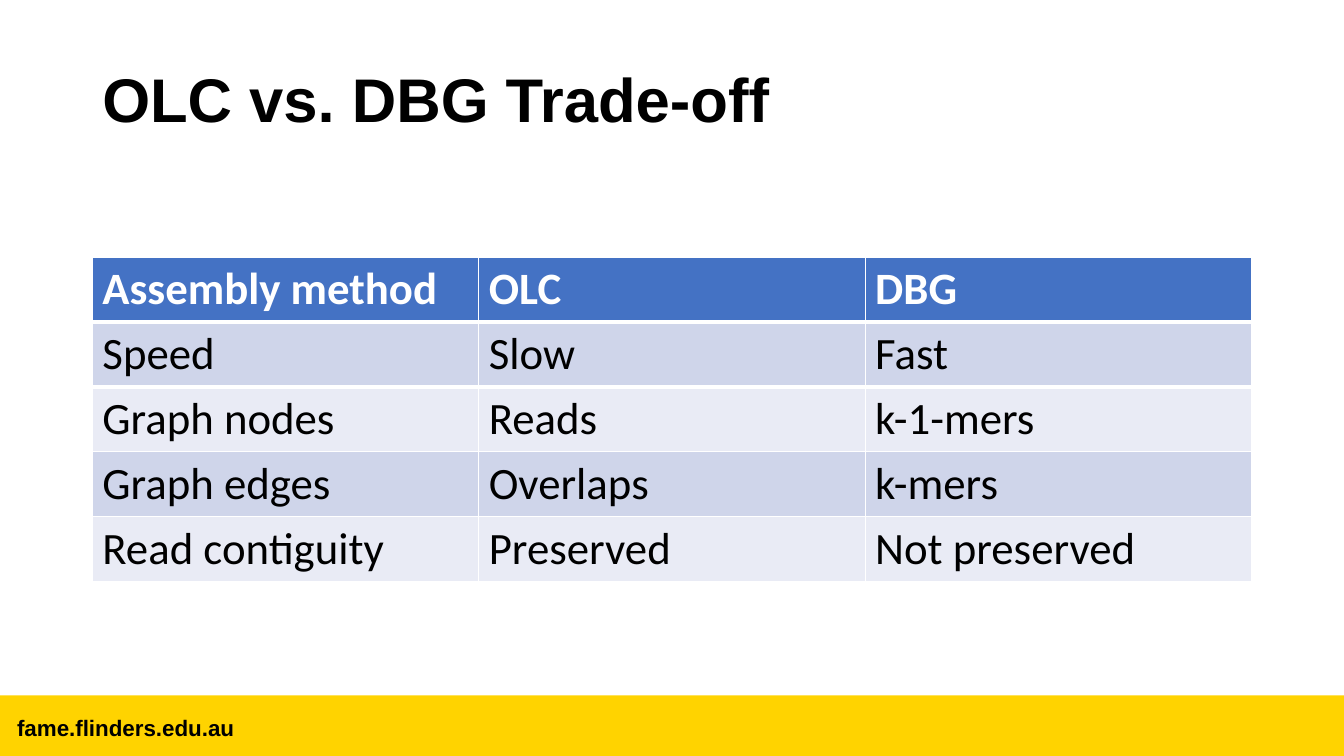
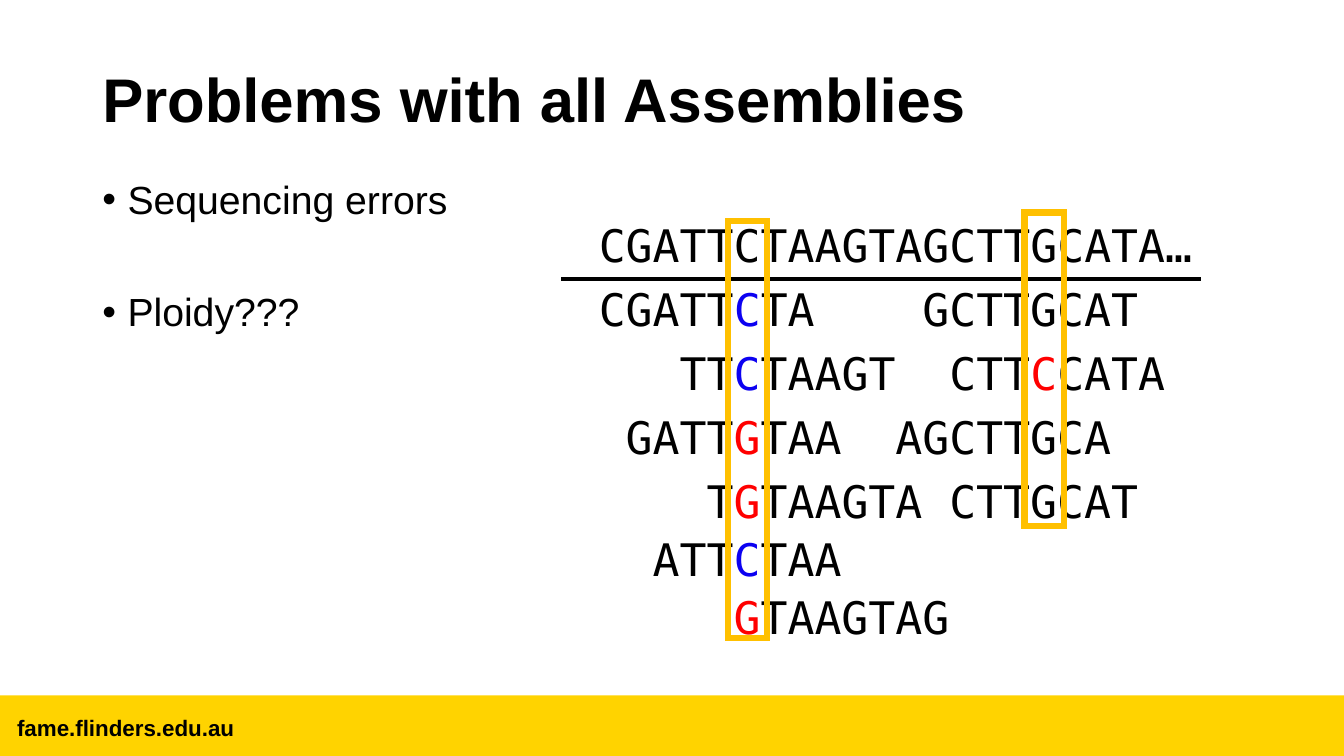
from dataclasses import dataclass

from lxml import etree
from pptx import Presentation
from pptx.dml.color import RGBColor
from pptx.enum.shapes import MSO_CONNECTOR, MSO_SHAPE
from pptx.enum.text import MSO_ANCHOR
from pptx.oxml.ns import qn
from pptx.util import Emu, Pt

RECTANGLE = MSO_SHAPE.RECTANGLE
STRAIGHT = MSO_CONNECTOR.STRAIGHT
MIDDLE = MSO_ANCHOR.MIDDLE
TOP = MSO_ANCHOR.TOP


@dataclass(frozen=True)
class Theme:
    black: RGBColor = RGBColor.from_string("000000")
    white: RGBColor = RGBColor.from_string("FFFFFF")
    band: RGBColor = RGBColor.from_string("FFD300")
    header: RGBColor = RGBColor.from_string("4472C4")
    odd_row: RGBColor = RGBColor.from_string("CFD5EA")
    even_row: RGBColor = RGBColor.from_string("E9EBF5")
    blue: RGBColor = RGBColor.from_string("0C01F1")
    red: RGBColor = RGBColor.from_string("FF0000")
    highlight: RGBColor = RGBColor.from_string("FFC000")
    sans: str = "Arial"
    table: str = "Calibri"
    mono: str = "DejaVu Sans Mono"
    title_size: Pt = Pt(44)
    large_size: Pt = Pt(32)
    body_size: Pt = Pt(28)
    footer_size: Pt = Pt(16)


THEME = Theme()
COLUMNS, ROWS = 160, 90
MARGIN, CONTENT = 11, 138

presentation = Presentation()
presentation.slide_width = Pt(6 * COLUMNS)
presentation.slide_height = Pt(6 * ROWS)
blank_layout = presentation.slide_layouts[6]


def grid(*counts):
    cell = presentation.slide_width / COLUMNS
    return [Emu(round(count * cell)) for count in counts]


def add_text(slide, area, text, font, size, bold=False, anchor=TOP):
    shape = slide.shapes.add_textbox(*grid(*area))
    frame = shape.text_frame
    frame.text = text
    frame.word_wrap = True
    frame.vertical_anchor = anchor
    for paragraph in frame.paragraphs:
        for run in paragraph.runs:
            run.font.name = font
            run.font.size = size
            run.font.bold = bold
            run.font.color.rgb = THEME.black
    return frame


slides = []
for title in ("OLC vs. DBG Trade-off", "Problems with all Assemblies"):
    slide = presentation.slides.add_slide(blank_layout)
    band = slide.shapes.add_shape(RECTANGLE, *grid(0, 82.8, COLUMNS, 7.2))
    band.shadow.inherit = False
    band.fill.solid()
    band.fill.fore_color.rgb = THEME.band
    band.line.fill.background()
    add_text(slide, (0.85, 84.4, 80, 4.4), "fame.flinders.edu.au",
             THEME.sans, THEME.footer_size, bold=True)
    heading = add_text(slide, (MARGIN, 6.7, CONTENT, 11.1), title,
                       THEME.sans, THEME.title_size, bold=True, anchor=MIDDLE)
    heading.paragraphs[0].line_spacing = 0.9
    slides.append(slide)
tradeoff_slide, problems_slide = slides

comparison = [
    ("Assembly method", "OLC", "DBG"),
    ("Speed", "Slow", "Fast"),
    ("Graph nodes", "Reads", "k-1-mers"),
    ("Graph edges", "Overlaps", "k-mers"),
    ("Read contiguity", "Preserved", "Not preserved"),
]
row_height = 7.72
table = tradeoff_slide.shapes.add_table(
    len(comparison), len(comparison[0]),
    *grid(MARGIN, 30.6, CONTENT, row_height * len(comparison))).table
for row_index, values in enumerate(comparison):
    is_header = row_index == 0
    band_color = THEME.odd_row if row_index % 2 else THEME.even_row
    for column_index, value in enumerate(values):
        cell = table.cell(row_index, column_index)
        cell.text = value
        cell.fill.solid()
        cell.fill.fore_color.rgb = THEME.header if is_header else band_color
        font = cell.text_frame.paragraphs[0].runs[0].font
        font.name = THEME.table
        font.size = THEME.large_size
        font.bold = is_header
        font.color.rgb = THEME.white if is_header else THEME.black
        if row_index < 2:
            border = etree.Element(qn("a:lnB" if is_header else "a:lnT"), w=str(Pt(3)))
            border_fill = etree.SubElement(border, qn("a:solidFill"))
            etree.SubElement(border_fill, qn("a:srgbClr"), val=str(THEME.white))
            cell._tc.get_or_add_tcPr().insert(0, border)

bullets = add_text(problems_slide, (MARGIN, 20.9, 44.5, 59.4),
                   "Sequencing errors\nPloidy???", THEME.sans, THEME.body_size)
for index, paragraph in enumerate(bullets.paragraphs):
    paragraph.line_spacing = 0.9
    paragraph.space_before = Pt(50 * index)
    properties = paragraph._p.get_or_add_pPr()
    indent = grid(3)[0]
    properties.set("marL", str(indent))
    properties.set("indent", str(-indent))
    etree.SubElement(properties, qn("a:buFont")).set("typeface", THEME.sans)
    etree.SubElement(properties, qn("a:buChar")).set("char", "•")

letter_width, inset = 3.21, 1.2
alignment_left = 70.1
line_tops = [25.3, 32.9, 40.6, 48.2, 55.8, 62.7, 69.6]
variant_sites = (5, 16)
variant_colors = {(5, "C"): THEME.blue, (5, "G"): THEME.red, (16, "C"): THEME.red}
sequences = [
    (0, 0, "CGATTCTAAGTAGCTTGCATA…"),
    (1, 0, "CGATTCTA"),
    (2, 3, "TTCTAAGT"),
    (3, 1, "GATTGTAA"),
    (4, 4, "TGTAAGTA"),
    (5, 2, "ATTCTAA"),
    (6, 5, "GTAAGTAG"),
    (1, 12, "GCTTGCAT"),
    (2, 13, "CTTCCATA"),
    (3, 11, "AGCTTGCA"),
    (4, 13, "CTTGCAT"),
]
for line, start, bases in sequences:
    area = (alignment_left + start * letter_width, line_tops[line],
            (len(bases) + 1) * letter_width + 2 * inset, 7.7)
    frame = add_text(problems_slide, area, bases, THEME.mono, THEME.large_size)
    if line == 0:
        continue
    for site in variant_sites:
        offset = site - start
        color = variant_colors.get((site, bases[offset:offset + 1])) if offset >= 0 else None
        if color is None:
            continue
        paragraph = frame.paragraphs[0]
        paragraph.clear()
        parts = (bases[:offset], bases[offset], bases[offset + 1:])
        for part, part_color in zip(parts, (THEME.black, color, THEME.black)):
            if part:
                run = paragraph.add_run()
                run.text = part
                run.font.name = THEME.mono
                run.font.size = THEME.large_size
                run.font.color.rgb = part_color

rule = problems_slide.shapes.add_connector(STRAIGHT, *grid(66.8, 33.2, 143, 33.2))
rule.line.color.rgb = THEME.black
rule.line.width = Pt(3)
etree.SubElement(rule._element.spPr, qn("a:effectLst"))

for site, top, height in zip(variant_sites, (26.3, 25.3), (49.7, 37.3)):
    left = alignment_left + inset + site * letter_width - 0.7
    box = problems_slide.shapes.add_shape(RECTANGLE, *grid(left, top, 4.7, height))
    box.shadow.inherit = False
    box.fill.background()
    box.line.color.rgb = THEME.highlight
    box.line.width = Pt(4.5)
    outline = box._element.spPr.find(qn("a:ln"))
    etree.SubElement(outline, qn("a:miter"), lim="800000")

presentation.save("out.pptx")
